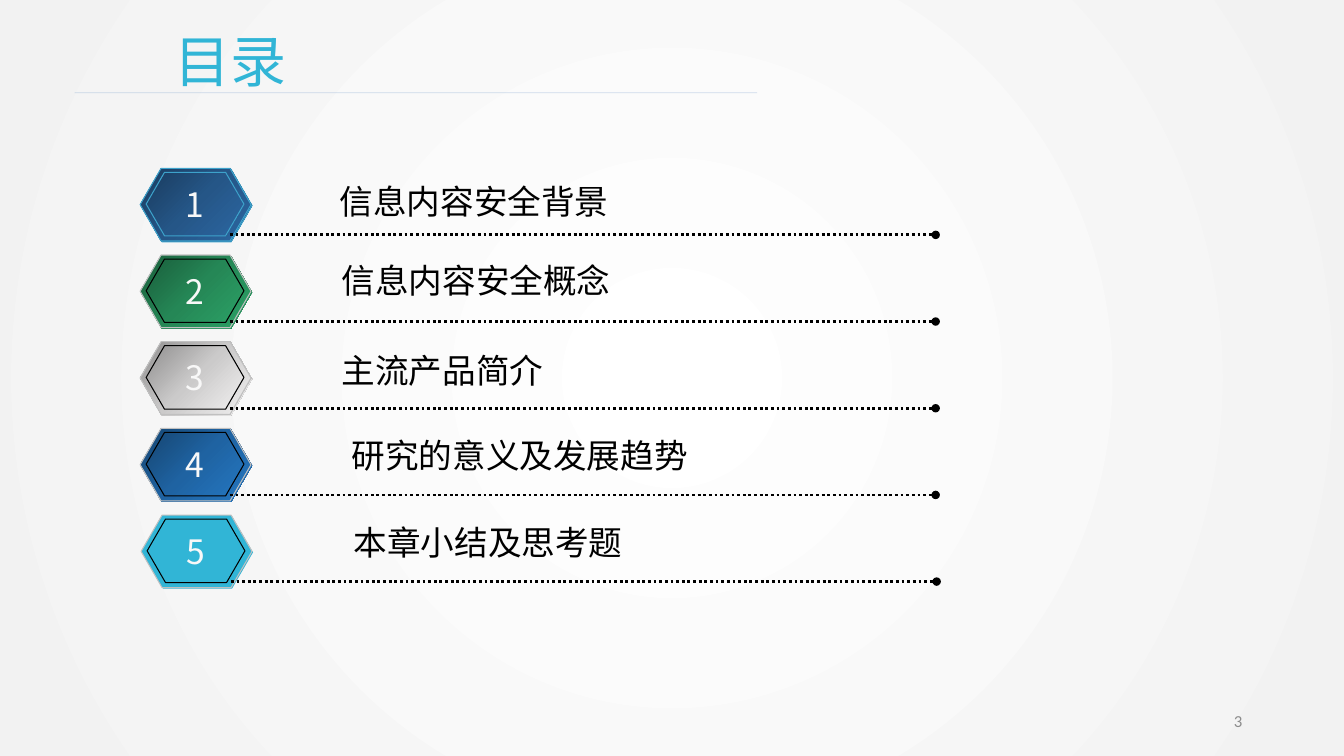
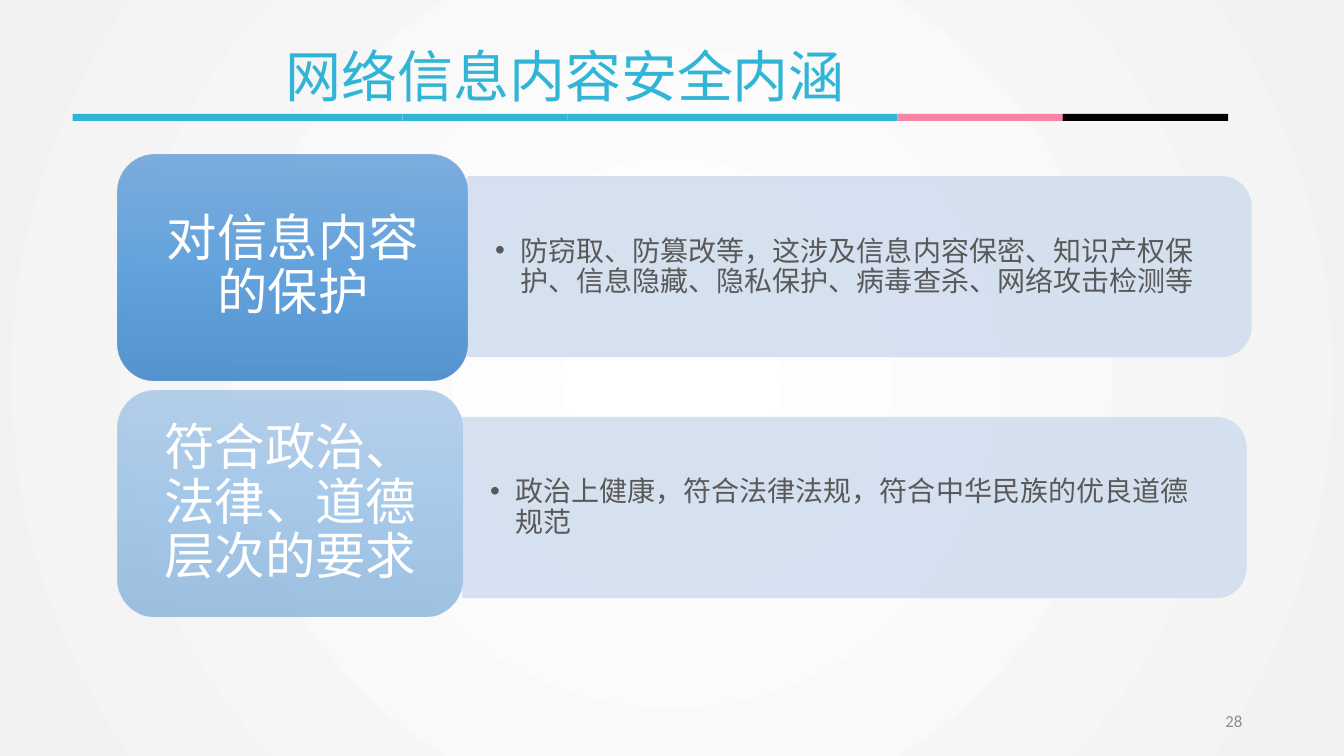
from dataclasses import dataclass
from typing import Optional, Sequence

from lxml.etree import SubElement
from pptx import Presentation
from pptx.dml.color import RGBColor
from pptx.enum.dml import MSO_LINE
from pptx.enum.shapes import MSO_CONNECTOR, MSO_SHAPE
from pptx.enum.text import MSO_ANCHOR, MSO_AUTO_SIZE, PP_ALIGN
from pptx.oxml.ns import qn
from pptx.util import Emu, Pt

SCALE = 9144
CJK = "Noto Sans CJK SC"
LATIN = "Calibri"
ACCENT = "31B5D6"
PINK = "F784A5"
BLACK = "000000"
WHITE = "FFFFFF"
SILVER = "C0C0C0"
PANEL = "D2DEEF"
CARD_BLUES = ("71A6DB", "559BDB", "448ACA")
ROW_STEP = 86


@dataclass(frozen=True)
class Box:
    left: int
    top: int
    width: int
    height: int


@dataclass(frozen=True)
class Entry:
    label: str
    left: int
    top: int
    colours: Sequence[str]
    back_edge: Optional[str] = None
    middle_edge: str = SILVER
    front_edge: str = BLACK
    shift: int = 0


@dataclass(frozen=True)
class Card:
    heading: str
    detail: str
    box: Box
    panel_top: int
    opacity: int


ENTRIES = (
    Entry("信息内容安全背景", 327, 174, ("1A3C5F", "255687", "2B66A1"),
          "3DA2CB", "3DA2CB", "3DA2CB"),
    Entry("信息内容安全概念", 329, 253, ("1A5F3C", "258756", "2BA166")),
    Entry("主流产品简介", 329, 342, ("8F8E8E", "CBCACA", "F1F0F0")),
    Entry("研究的意义及发展趋势", 339, 426, ("164672", "1F63A2", "2476C0")),
    Entry("本章小结及思考题", 341, 513, (ACCENT,), shift=1),
)

CARDS = (
    Card("对信息内容的保护",
         "防窃取、防篡改等，这涉及信息内容保密、知识产权保护、信息隐藏、隐私保护、病毒查杀、网络攻击检测等",
         Box(117, 153, 347, 224), 175, 90),
    Card("符合政治、法律、道德层次的要求",
         "政治上健康，符合法律法规，符合中华民族的优良道德规范",
         Box(117, 388, 342, 224), 414, 50),
)


def px(n: float) -> Emu:
    return Emu(int(n * SCALE))


def rgb(value: str) -> RGBColor:
    return RGBColor.from_string(value)


def place(box: Box) -> tuple:
    return px(box.left), px(box.top), px(box.width), px(box.height)


def set_alpha(element, opacity: int) -> None:
    for colour in element.iter(qn("a:srgbClr")):
        SubElement(colour, qn("a:alpha"), val=str(opacity * 1000))


def set_gradient(owner, fill, colours: Sequence[str], angle: Optional[int] = None) -> None:
    fill.gradient()
    grad = next(owner.iter(qn("a:gradFill")))
    for child in list(grad):
        grad.remove(child)
    stops = SubElement(grad, qn("a:gsLst"))
    for i, colour in enumerate(colours):
        position = 100000 * i // (len(colours) - 1)
        stop = SubElement(stops, qn("a:gs"), pos=str(position))
        SubElement(stop, qn("a:srgbClr"), val=colour)
    if angle is None:
        circle = SubElement(grad, qn("a:path"), path="circle")
        SubElement(circle, qn("a:fillToRect"), l="50000", t="50000", r="50000", b="50000")
    else:
        SubElement(grad, qn("a:lin"), ang=str(angle * 60000), scaled="0")


def write(sp, text: str, size: int, colour: str, font: str = CJK,
          align: PP_ALIGN = PP_ALIGN.LEFT, insets: tuple = (10, 5),
          spacing=None, bullet: bool = False) -> None:
    tf = sp.text_frame
    tf.word_wrap = True
    tf.auto_size = MSO_AUTO_SIZE.NONE
    tf.vertical_anchor = MSO_ANCHOR.MIDDLE
    tf.margin_left = tf.margin_right = px(insets[0])
    tf.margin_top = tf.margin_bottom = px(insets[1])
    p = tf.paragraphs[0]
    p.text = text
    p.alignment = align
    if spacing:
        p.line_spacing = spacing
    props = p._p.get_or_add_pPr()
    if bullet:
        props.set("marL", str(px(25)))
        props.set("indent", str(px(-25)))
        SubElement(props, qn("a:buFont"), typeface="Arial")
        SubElement(props, qn("a:buChar"), char="•")
    p.font.size = Pt(size)
    p.font.color.rgb = rgb(colour)
    p.font.name = font
    SubElement(props.find(qn("a:defRPr")), qn("a:ea"), typeface=font)


def add_text(s, box: Box, text: str, size: int, colour: str, **style):
    sp = s.shapes.add_textbox(*place(box))
    write(sp, text, size, colour, **style)
    return sp


def add_shape(s, kind: MSO_SHAPE, box: Box, colours: Sequence[str],
              edge: Optional[str] = None, edge_width: float = 0.75,
              angle: int = 45, opacity: int = 100):
    sp = s.shapes.add_shape(kind, *place(box))
    sp.shadow.inherit = False
    if len(colours) > 1:
        set_gradient(sp._element, sp.fill, colours, angle)
    else:
        sp.fill.solid()
        sp.fill.fore_color.rgb = rgb(colours[0])
    if edge:
        sp.line.color.rgb = rgb(edge)
        sp.line.width = Pt(edge_width)
    else:
        sp.line.fill.background()
    if opacity < 100:
        set_alpha(sp._element.spPr, opacity)
    return sp


def add_rule(s, left: int, right: int, y: int, colour: str, width: float):
    line = s.shapes.add_connector(MSO_CONNECTOR.STRAIGHT, px(left), px(y), px(right), px(y))
    line.line.color.rgb = rgb(colour)
    line.line.width = Pt(width)
    SubElement(line._element.spPr, qn("a:effectLst"))
    return line


def add_slide(prs, title: str, title_box: Box, number: int):
    s = prs.slides.add_slide(prs.slide_layouts[5])
    sp = s.shapes.title
    sp.left, sp.top, sp.width, sp.height = place(title_box)
    write(sp, title, 40, ACCENT)
    add_text(s, Box(942, 695, 300, 40), str(number), 12, "8C8C8C",
             font=LATIN, align=PP_ALIGN.RIGHT)
    return s


def add_entry(s, entry: Entry, number: int) -> None:
    top = 168 + ROW_STEP * (number - 1)
    left = 140 + entry.shift
    hexagons = (
        (Box(left, top, 110, 72), entry.back_edge),
        (Box(left - 1, top - 1, 110, 72), entry.middle_edge),
        (Box(left + 5, top + 3, 97, 63), entry.front_edge),
    )
    for box, edge in hexagons:
        sp = add_shape(s, MSO_SHAPE.HEXAGON, box, entry.colours, edge)
        sp.adjustments[0] = 0.289
    write(sp, str(number), 24, "F8F8F8", align=PP_ALIGN.CENTER, insets=(0, 0))
    rule = add_rule(s, left + 88, left + 788, top + 65, BLACK, 2)
    rule.line.dash_style = MSO_LINE.ROUND_DOT
    SubElement(rule.line._get_or_add_ln(), qn("a:tailEnd"), type="oval")
    add_text(s, Box(entry.left, entry.top, 400, 50), entry.label, 24, BLACK)


def add_card(s, card: Card) -> None:
    left = card.box.left + card.box.width
    length, depth = 777, 179
    offset = (length - depth) / 2
    upright = Box(left + offset, card.panel_top - offset, depth, length)
    panel = add_shape(s, MSO_SHAPE.ROUND_2_SAME_RECTANGLE, upright, (PANEL,),
                      PANEL, 0.5, opacity=90)
    panel.rotation = 90
    add_text(s, Box(left, card.panel_top + 9, 768, 161), card.detail, 20, "595959",
             insets=(27, 14), spacing=Pt(22), bullet=True)
    sp = add_shape(s, MSO_SHAPE.ROUNDED_RECTANGLE, card.box, CARD_BLUES,
                   angle=90, opacity=card.opacity)
    write(sp, card.heading, 36, WHITE, font=LATIN, align=PP_ALIGN.CENTER,
          insets=(15, 7), spacing=0.9)


def build_contents(prs) -> None:
    s = add_slide(prs, "目录", Box(163, 21, 850, 77), 3)
    rule = add_rule(s, 74, 751, 92, "4A7EBB", 0.5)
    set_alpha(rule._element.spPr, 25)
    for number, entry in enumerate(ENTRIES, 1):
        add_entry(s, entry, number)


def build_meaning(prs) -> None:
    s = add_slide(prs, "网络信息内容安全内涵", Box(273, 36, 581, 77), 28)
    colours = (ACCENT,) * 5 + (PINK, BLACK)
    for i, colour in enumerate(colours):
        left = 72 + 1146 * i // len(colours)
        add_shape(s, MSO_SHAPE.RECTANGLE, Box(left, 113, 164, 7), (colour,))
    for card in CARDS:
        add_card(s, card)


def main() -> None:
    prs = Presentation()
    prs.slide_width, prs.slide_height = px(1333), px(750)
    master = prs.slide_master
    set_gradient(master._element, master.background.fill, (WHITE, "F2F2F2"))
    build_contents(prs)
    build_meaning(prs)
    prs.save("out.pptx")


if __name__ == "__main__":
    main()
